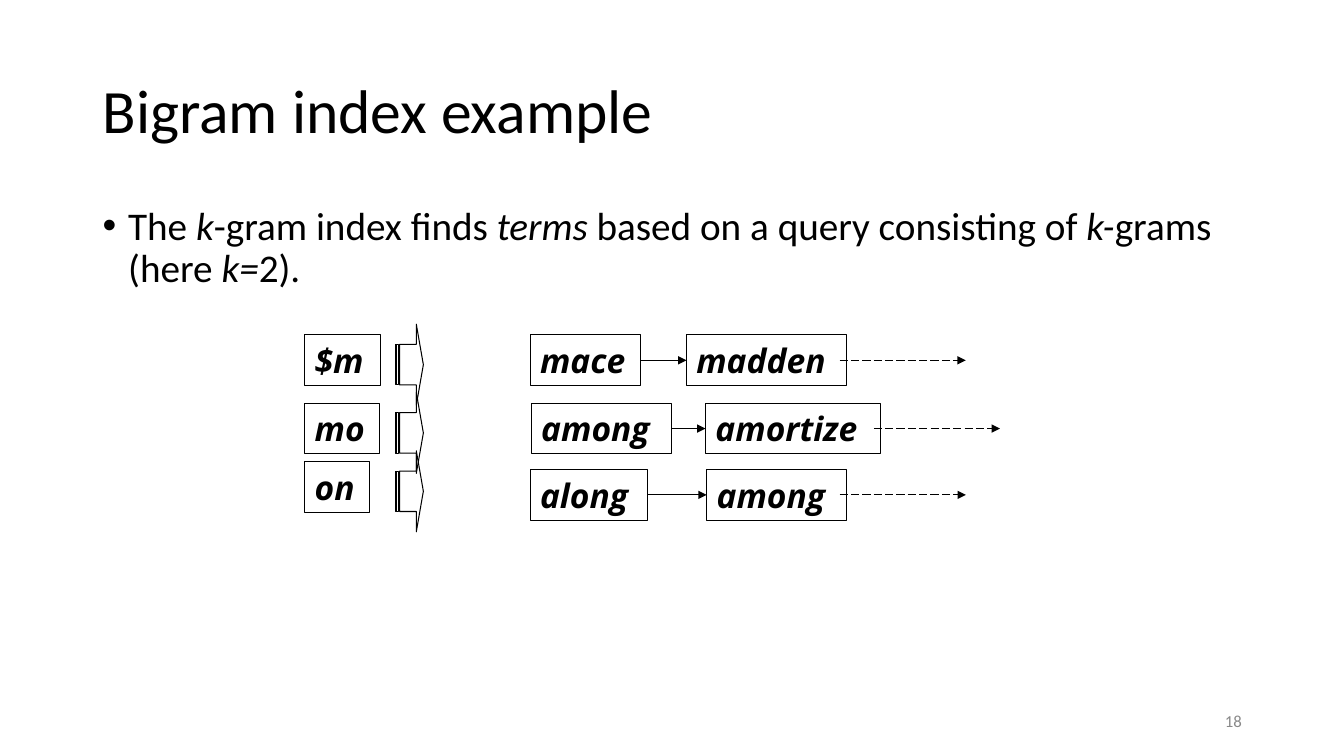
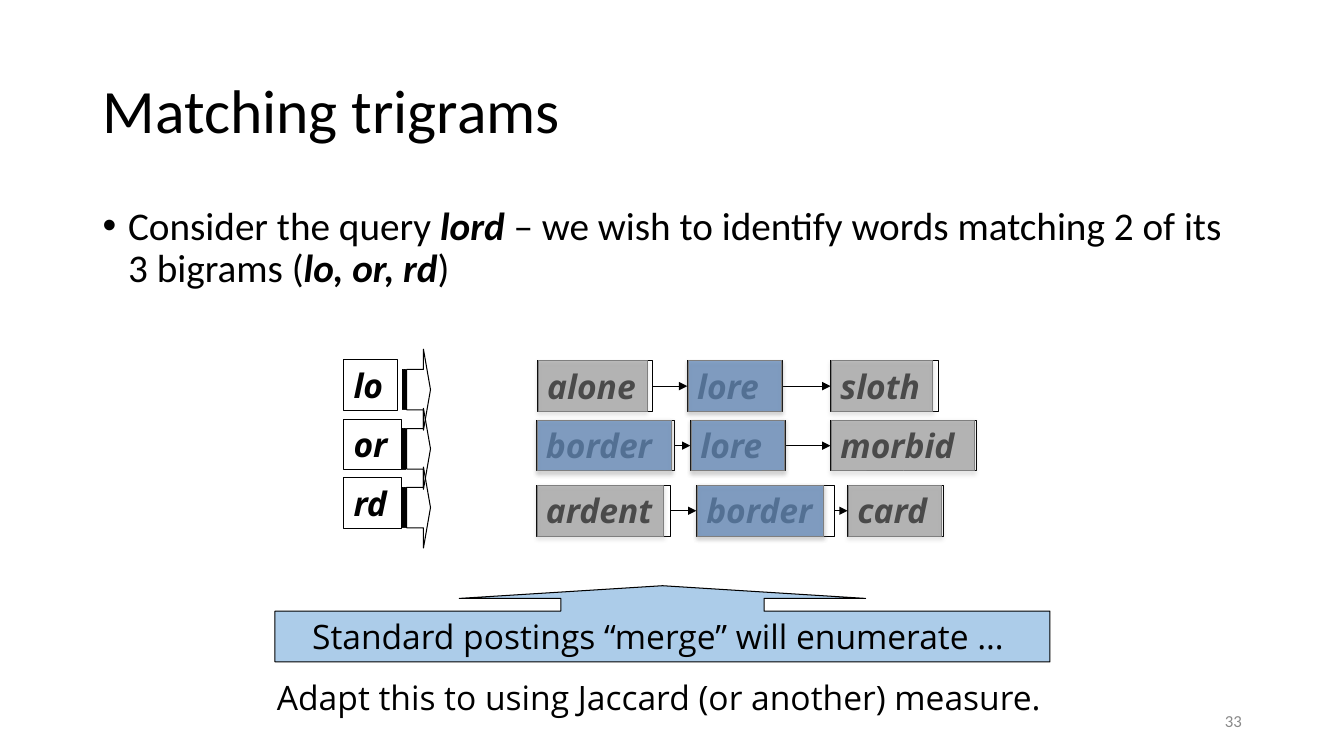
from collections import Counter, namedtuple

from lxml import etree
from pptx import Presentation
from pptx import util as u
from pptx.dml.color import RGBColor
from pptx.enum import dml, shapes, text
from pptx.oxml.ns import qn

BLACK = RGBColor(0x00, 0x00, 0x00)
PAGE_GRAY = RGBColor(0x89, 0x89, 0x89)
TINT_GRAY = RGBColor(0x7F, 0x7F, 0x7F)
TINT_BLUE = RGBColor(0x55, 0x8E, 0xD5)
CALLOUT_BLUE = RGBColor(0x5B, 0x9B, 0xD5)

TITLE = {"name": "Calibri", "size": u.Pt(44)}
BODY = {"name": "Calibri", "size": u.Pt(28)}
PAGE = {"name": "Calibri", "size": u.Pt(12)}
LABEL = {"name": "Open Sans", "size": u.Pt(24)}
ITALIC = {"italic": True}
STRONG = {"bold": True, "italic": True}
TERM = {**LABEL, **STRONG}

Box = namedtuple("Box", "left top width height")
Posting = namedtuple("Posting", "word left width tint_width", defaults=(0,))
Row = namedtuple("Row", "gram gram_width gram_top list_top postings")

TITLE_BOX = Box(2.34, 1.02, 29.21, 3.68)
BODY_BOX = Box(2.34, 5.08, 29.21, 12.09)
PAGE_BOX = Box(23.93, 17.65, 7.62, 1.02)
TERM_HEIGHT = 1.28
ARROW_WIDTH, ARROW_HEIGHT, ARROW_RISE = 0.71, 2.04, 0.27
DASH_OVERLAP, DASH_LENGTH = 0.18, 3.18
TINT_SHIFT = 0.03

BIGRAM_ROWS = [
    Row("$m", 1.91, 0, 0, [Posting("mace", 5.68, 2.79), Posting("madden", 9.62, 4.04)]),
    Row("mo", 1.88, 1.72, 1.72, [Posting("among", 5.71, 3.53), Posting("amortize", 10.1, 4.42)]),
    Row("on", 1.63, 3.19, 3.39, [Posting("along", 5.68, 2.97), Posting("among", 10.13, 3.53)]),
]
MATCH_ROWS = [
    Row("lo", 1.35, 0, 0.02, [Posting("alone", 4.88, 2.9, 2.74), Posting("lore", 8.66, 2.39, 2.34),
                              Posting("sloth", 12.27, 2.72, 2.54)]),
    Row("or", 1.45, 1.49, 1.52, [Posting("border", 4.85, 3.48, 3.38), Posting("lore", 8.74, 2.39, 2.34),
                                 Posting("morbid", 12.27, 3.68, 3.61)]),
    Row("rd", 1.47, 2.97, 3.16, [Posting("ardent", 4.85, 3.38, 3.18), Posting("border", 8.89, 3.48, 3.18),
                                 Posting("card", 12.7, 2.41, 2.34)]),
]


def lengths(values):
    """Convert centimetres to slide lengths."""
    return [u.Cm(value) for value in values]


def apply_format(target, values):
    """Set each named attribute on the target."""
    for name, value in values.items():
        setattr(target, name, value)


def write(shape, runs, font, color=BLACK, frame=None, paragraph=None):
    """Fill a shape with one paragraph of formatted runs."""
    text_frame = shape.text_frame
    apply_format(text_frame, {"word_wrap": True, "vertical_anchor": text.MSO_ANCHOR.TOP, **(frame or {})})
    line = text_frame.paragraphs[0]
    apply_format(line, {"alignment": text.PP_ALIGN.LEFT, **(paragraph or {})})
    for content, extra in runs:
        run = line.add_run()
        run.text = content
        apply_format(run.font, {**font, **extra})
        run.font.color.rgb = color
    return line


def add_text(slide, box, runs, font, **options):
    """Add a text box and return its paragraph."""
    return write(slide.shapes.add_textbox(*lengths(box)), runs, font, **options)


def add_outline(slide, kind, box, line=BLACK, fill=None):
    """Add an outlined preset shape, optionally with a half-transparent fill."""
    shape = slide.shapes.add_shape(kind, *lengths(box))
    shape.shadow.inherit = False
    shape.line.color.rgb = line
    shape.line.width = u.Pt(0.75)
    if fill is None:
        shape.fill.background()
    else:
        shape.fill.solid()
        shape.fill.fore_color.rgb = fill
        color = shape.element.spPr.find(qn("a:solidFill"))[0]
        etree.SubElement(color, qn("a:alpha"), val="50000")
    return shape


def add_term(slide, box, word):
    """Add a boxed index term."""
    write(add_outline(slide, shapes.MSO_SHAPE.RECTANGLE, box), [(word, {})], TERM)


def add_tint(slide, box, color):
    """Lay a translucent, shadowed tint over a term."""
    shape = add_outline(slide, shapes.MSO_SHAPE.RECTANGLE, box, TINT_GRAY, color)
    effects = shape.element.spPr.find(qn("a:effectLst"))
    shadow = etree.SubElement(effects, qn("a:outerShdw"), blurRad=str(u.Pt(3.1)), dist=str(u.Pt(1.8)),
                              dir="5400000", rotWithShape="0")
    shade = etree.SubElement(shadow, qn("a:srgbClr"), val="808080")
    etree.SubElement(shade, qn("a:alpha"), val="35000")


def add_link(slide, start, end, middle, dash=None):
    """Add a horizontal arrow, dashed on request."""
    link = slide.shapes.add_connector(shapes.MSO_CONNECTOR.STRAIGHT, *lengths((start, middle, end, middle)))
    apply_format(link.line, {"width": u.Pt(0.75), "dash_style": dash})
    link.line.color.rgb = BLACK
    properties = link.element.spPr
    etree.SubElement(properties.find(qn("a:ln")), qn("a:tailEnd"), type="triangle")
    etree.SubElement(properties, qn("a:effectLst"))


def add_gram(slide, box, word, arrow_left):
    """Add a k-gram and the striped arrow toward its postings."""
    add_term(slide, box, word)
    arrow_box = Box(box.left + arrow_left, box.top - ARROW_RISE, ARROW_WIDTH, ARROW_HEIGHT)
    arrow = add_outline(slide, shapes.MSO_SHAPE.STRIPED_RIGHT_ARROW, arrow_box)
    arrow.adjustments[0], arrow.adjustments[1] = 0.5, 0.25


def add_postings(slide, left, top, postings, continues):
    """Add one chain of linked postings."""
    middle = top + TERM_HEIGHT / 2
    previous_right = None
    for posting in postings:
        box = Box(left + posting.left, top, posting.width, TERM_HEIGHT)
        add_term(slide, box, posting.word)
        if previous_right is not None:
            add_link(slide, previous_right, box.left, middle)
        previous_right = box.left + box.width
    if continues:
        start = previous_right - DASH_OVERLAP
        add_link(slide, start, start + DASH_LENGTH, middle, dml.MSO_LINE.LONG_DASH)


def add_index(slide, left, top, rows, arrow_left, continues=False):
    """Add the k-grams with their posting lists."""
    for row in rows:
        add_gram(slide, Box(left, top + row.gram_top, row.gram_width, TERM_HEIGHT), row.gram, arrow_left)
        add_postings(slide, left, top + row.list_top, row.postings, continues)


def add_matches(slide, left, top, rows):
    """Tint every posting gray, and those found in two lists blue as well."""
    counts = Counter(posting.word for row in rows for posting in row.postings)
    for row in rows:
        for posting in row.postings:
            box = Box(left + posting.left + TINT_SHIFT, top + row.list_top, posting.tint_width, TERM_HEIGHT)
            for color in (TINT_GRAY, TINT_BLUE)[:counts[posting.word]]:
                add_tint(slide, box, color)


def add_callout(slide, box, content):
    """Add the band with an upward arrow."""
    callout = add_outline(slide, shapes.MSO_SHAPE.UP_ARROW_CALLOUT, box, fill=CALLOUT_BLUE)
    for index, value in enumerate((2.667, 2.667, 0.167, 0.667)):
        callout.adjustments[index] = value
    write(callout, [(content, {})], LABEL, frame={"vertical_anchor": text.MSO_ANCHOR.MIDDLE},
          paragraph={"alignment": text.PP_ALIGN.CENTER})


def add_bullet(slide, box, runs):
    """Add the bulleted body text."""
    line = add_text(slide, box, runs, BODY, paragraph={"line_spacing": 0.9, "space_before": u.Pt(10)})
    properties = line._p.get_or_add_pPr()
    properties.set("marL", str(u.Cm(0.64)))
    properties.set("indent", str(u.Cm(-0.64)))
    etree.SubElement(properties, qn("a:buFont"), typeface="Arial")
    etree.SubElement(properties, qn("a:buChar"), char="•")


def add_slide(presentation, title, runs, number):
    """Add a blank slide with title, body and page number."""
    slide = presentation.slides.add_slide(presentation.slide_layouts[6])
    middle = {"vertical_anchor": text.MSO_ANCHOR.MIDDLE}
    add_text(slide, TITLE_BOX, [(title, {})], TITLE, frame=middle, paragraph={"line_spacing": 0.9})
    add_bullet(slide, BODY_BOX, runs)
    add_text(slide, PAGE_BOX, [(str(number), {})], PAGE, color=PAGE_GRAY, frame=middle,
             paragraph={"alignment": text.PP_ALIGN.RIGHT})
    return slide


def build_bigram_slide(presentation):
    """Build the bigram index example."""
    slide = add_slide(presentation, "Bigram index example", [
        ("The ", {}), ("k", ITALIC), ("-gram index finds ", {}), ("terms", ITALIC),
        (" based on a query consisting of ", {}), ("k-", ITALIC), ("grams (here ", {}),
        ("k=", ITALIC), ("2).", {})], 18)
    add_index(slide, 7.68, 8.44, BIGRAM_ROWS, arrow_left=2.28, continues=True)


def build_matching_slide(presentation):
    """Build the matching example with its tinted postings."""
    slide = add_slide(presentation, "Matching trigrams", [
        ("Consider the query ", {}), ("lord", STRONG),
        (" – we wish to identify words matching 2 of its 3 bigrams (", {}),
        ("lo, or, rd", STRONG), (")", {})], 33)
    left, top = 8.66, 9.07
    add_index(slide, left, top, MATCH_ROWS, arrow_left=1.48)
    add_matches(slide, left, top, MATCH_ROWS)
    add_callout(slide, Box(6.93, 14.76, 19.53, 1.92), "Standard postings “merge” will enumerate … ")
    add_text(slide, Box(6.73, 16.94, 20.75, TERM_HEIGHT),
             [("Adapt this to using Jaccard (or another) measure.", {})], LABEL)


def main():
    """Build and save the presentation."""
    presentation = Presentation()
    apply_format(presentation, {"slide_width": u.Cm(33.87), "slide_height": u.Cm(19.05)})
    build_bigram_slide(presentation)
    build_matching_slide(presentation)
    presentation.save("out.pptx")


main()
